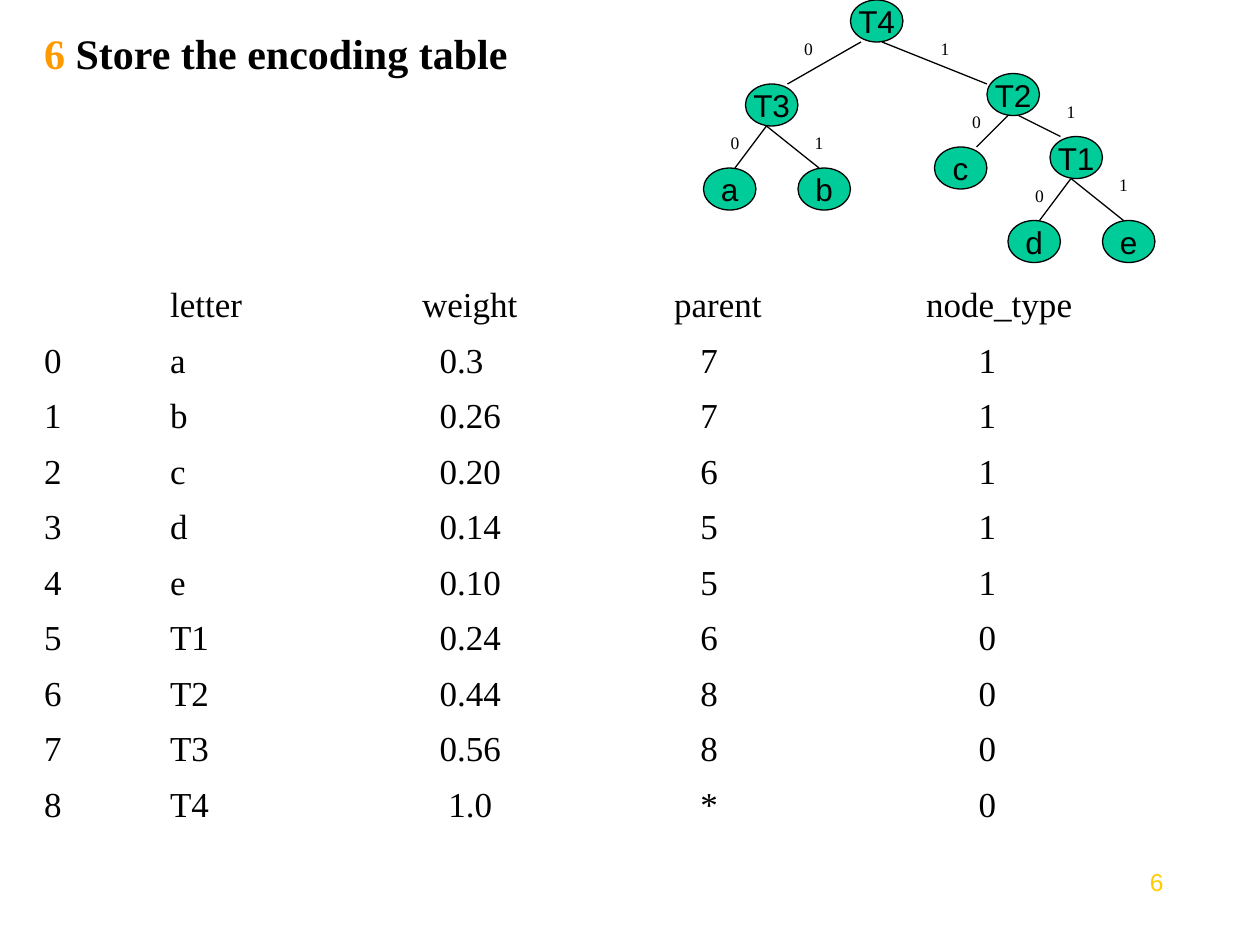
from pptx import Presentation
from pptx.dml.color import RGBColor
from pptx.enum.shapes import MSO_CONNECTOR, MSO_SHAPE
from pptx.enum.text import MSO_ANCHOR, MSO_AUTO_SIZE, PP_ALIGN
from pptx.oxml.ns import qn
from pptx.util import Pt

OVAL = MSO_SHAPE.OVAL
STRAIGHT = MSO_CONNECTOR.STRAIGHT
MIDDLE = MSO_ANCHOR.MIDDLE
NO_AUTOFIT = MSO_AUTO_SIZE.NONE
LEFT, CENTER, RIGHT = PP_ALIGN.LEFT, PP_ALIGN.CENTER, PP_ALIGN.RIGHT

BLACK = RGBColor(0x00, 0x00, 0x00)
GREEN = RGBColor(0x00, 0xCC, 0x99)
ORANGE = RGBColor(0xFF, 0x99, 0x00)
YELLOW = RGBColor(0xFF, 0xCC, 0x00)
SANS, SERIF = "Arial", "Times New Roman"

NODE_WIDTH, NODE_HEIGHT = 30, 24
NODES = [
    ("T4", 84, 0), ("T3", 24, 48), ("T2", 162, 42), ("a", 0, 96), ("b", 54, 96),
    ("c", 132, 84), ("T1", 198, 78), ("d", 174, 126), ("e", 228, 126),
]
EDGES = [
    ("0", (90, 24), (48, 48), (48, 18)),
    ("1", (102, 24), (162, 48), (126, 18)),
    ("0", (36, 72), (18, 96), (6, 72)),
    ("1", (36, 72), (66, 96), (54, 72)),
    ("0", (174, 66), (156, 84), (144, 60)),
    ("1", (180, 66), (204, 78), (198, 54)),
    ("0", (210, 102), (192, 126), (180, 102)),
    ("1", (210, 102), (240, 126), (228, 96)),
]

HEADER = ("", "letter", "weight", "parent", "node_type")
ROWS = [
    ("a", "0.3", "7", "1"),
    ("b", "0.26", "7", "1"),
    ("c", "0.20", "6", "1"),
    ("d", "0.14", "5", "1"),
    ("e", "0.10", "5", "1"),
    ("T1", "0.24", "6", "0"),
    ("T2", "0.44", "8", "0"),
    ("T3", "0.56", "8", "0"),
    ("T4", "1.0", "*", "0"),
]
COLUMN_WIDTHS = (72, 144, 144, 144, 156)
VALUE_INDENTS = (0, 0, 10, 15, 30)
ROOT_INDENTS = (0, 0, 15, 15, 30)
ROW_HEIGHT = 31.7
INSET = 7.2


def style_font(paragraph, name, size, color, alignment=LEFT):
    """Format a whole paragraph."""
    paragraph.alignment = alignment
    paragraph.font.name = name
    paragraph.font.size = Pt(size)
    paragraph.font.color.rgb = color


def add_label(shapes, text, left, top, width, height):
    """Add a wrapping text box and return its paragraph."""
    frame = shapes.add_textbox(Pt(left), Pt(top), Pt(width), Pt(height)).text_frame
    frame.word_wrap = True
    frame.text = text
    return frame.paragraphs[0]


def add_title(slide, left, top, width, height):
    """Fill the title placeholder with a coloured number and the heading."""
    title = slide.shapes.title
    title.left, title.top, title.width, title.height = map(Pt, (left, top, width, height))
    frame = title.text_frame
    frame.auto_size = NO_AUTOFIT
    frame.vertical_anchor = MIDDLE
    frame.margin_left = Pt(13.2)
    paragraph = frame.paragraphs[0]
    for text, color in (("6 ", ORANGE), ("Store the encoding table", BLACK)):
        run = paragraph.add_run()
        run.text = text
        run.font.color.rgb = color
    style_font(paragraph, SERIF, 24, BLACK)
    paragraph.font.bold = True


def add_node(shapes, text, left, top):
    """Add one oval tree node."""
    node = shapes.add_shape(OVAL, Pt(left), Pt(top), Pt(NODE_WIDTH), Pt(NODE_HEIGHT))
    node.shadow.inherit = False
    node.fill.solid()
    node.fill.fore_color.rgb = GREEN
    node.line.color.rgb = BLACK
    node.line.width = Pt(0.75)
    frame = node.text_frame
    frame.word_wrap = False
    frame.vertical_anchor = MIDDLE
    frame.text = text
    style_font(frame.paragraphs[0], SANS, 18, BLACK, CENTER)


def add_edge(shapes, start, end):
    """Add one thin line between two tree nodes."""
    edge = shapes.add_connector(STRAIGHT, *map(Pt, start + end))
    edge.line.color.rgb = BLACK
    edge.line.width = Pt(0.75)
    properties = edge._element.spPr
    properties.append(properties.makeelement(qn("a:effectLst"), {}))


def add_tree(slide, left, top):
    """Draw the code tree with its bit labels from the given corner."""
    shapes = slide.shapes.add_group_shape().shapes
    for text, x, y in NODES:
        add_node(shapes, text, left + x, top + y)
    for bit, (x1, y1), (x2, y2), (x, y) in EDGES:
        add_edge(shapes, (left + x1, top + y1), (left + x2, top + y2))
        label = add_label(shapes, bit, left + x, top + y, 24, 19.2)
        style_font(label, SERIF, 10, BLACK, CENTER)


def add_encoding_table(slide, left, top):
    """Add the plain table of letters, weights, parents and node types."""
    rows = [HEADER] + [(str(index), *row) for index, row in enumerate(ROWS)]
    indents = [(0,) * len(HEADER)] + [VALUE_INDENTS] * (len(ROWS) - 1) + [ROOT_INDENTS]
    table = slide.shapes.add_table(
        len(rows), len(HEADER), Pt(left), Pt(top),
        Pt(sum(COLUMN_WIDTHS)), Pt(ROW_HEIGHT * len(rows)),
    ).table
    table.first_row = False
    table.horz_banding = False
    for column, width in zip(table.columns, COLUMN_WIDTHS):
        column.width = Pt(width)
    for table_row, texts, row_indents in zip(table.rows, rows, indents):
        table_row.height = Pt(ROW_HEIGHT)
        for cell, text, indent in zip(table_row.cells, texts, row_indents):
            cell.fill.background()
            cell.vertical_anchor = MIDDLE
            cell.margin_left = Pt(INSET + indent)
            cell.margin_top = cell.margin_bottom = Pt(0)
            cell.text = text
            style_font(cell.text_frame.paragraphs[0], SERIF, 20, BLACK)


def add_page_number(slide, left, top, width, height):
    """Add the page number at the lower right."""
    number = add_label(slide.shapes, "6", left, top, width, height)
    style_font(number, SANS, 14, YELLOW, RIGHT)


def main():
    """Build and save the slide."""
    presentation = Presentation()
    presentation.slide_width, presentation.slide_height = Pt(720), Pt(540)
    slide = presentation.slides.add_slide(presentation.slide_layouts[5])
    add_title(slide, 12, 12, 612, 36)
    add_tree(slide, 402, 0)
    add_encoding_table(slide, 18, 159)
    add_page_number(slide, 624, 492, 48, 37.5)
    presentation.save("out.pptx")


if __name__ == "__main__":
    main()
